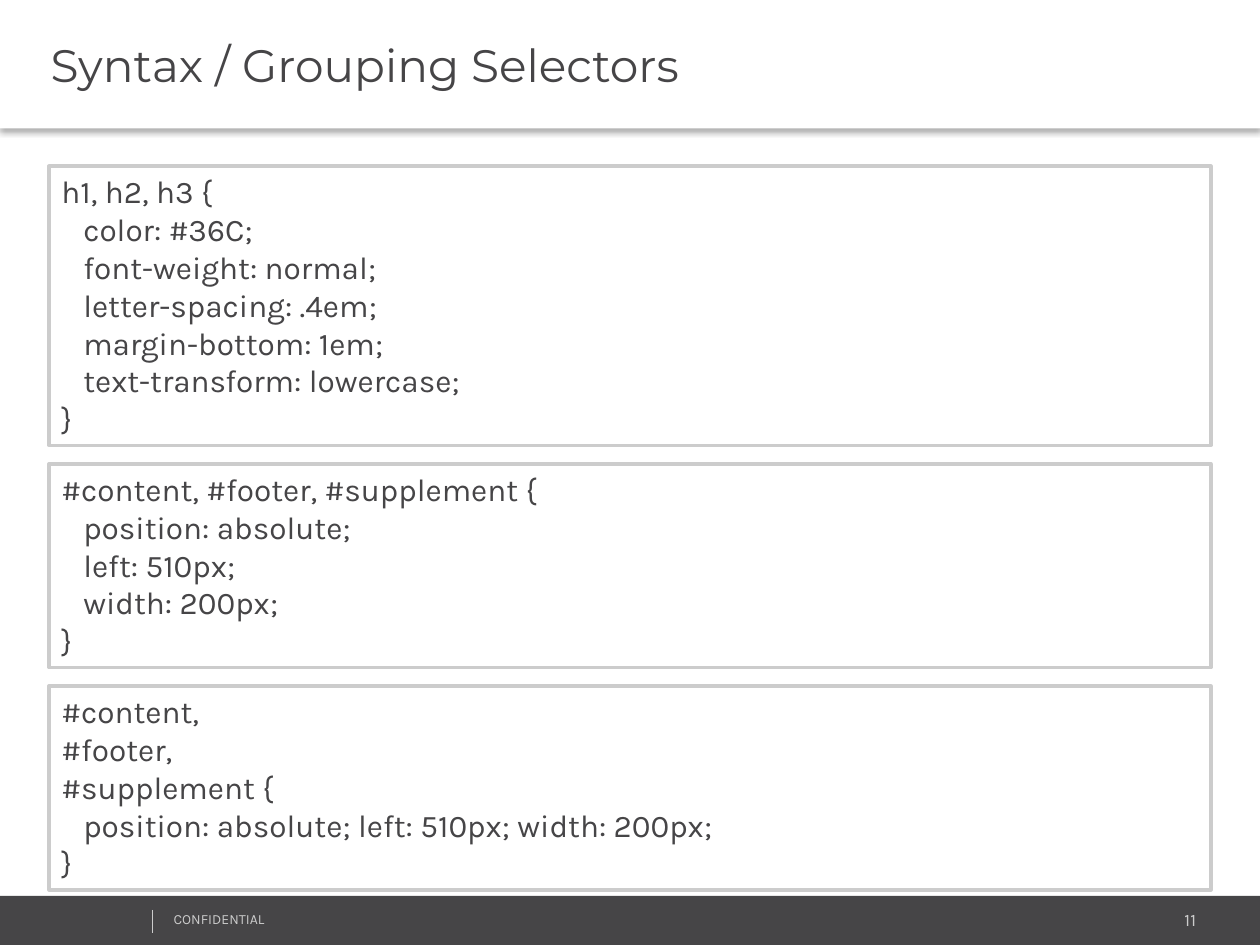
from lxml import etree
from pptx import Presentation
from pptx.dml.color import RGBColor
from pptx.enum.shapes import MSO_CONNECTOR, MSO_SHAPE
from pptx.enum.text import MSO_ANCHOR, MSO_AUTO_SIZE, PP_ALIGN
from pptx.oxml import parse_xml
from pptx.oxml.ns import nsdecls, qn
from pptx.util import Cm, Pt

DARK = RGBColor(0x46, 0x45, 0x47)
GREY = RGBColor(0xCC, 0xCC, 0xCC)
WHITE = RGBColor(0xFF, 0xFF, 0xFF)

BOX_LEFT, BOX_WIDTH, BOX_TOP, BOX_GAP = 0.99, 23.42, 3.35, 0.37
LINE_HEIGHT, BOX_PADDING = 0.76, 0.31
CODE_INDENT = Cm(0.44)

# Each line is (indent level, text).
CODE_BLOCKS = [
    [
        (0, "h1, h2, h3 {"),
        (1, "color: #36C;"),
        (1, "font-weight: normal;"),
        (1, "letter-spacing: .4em;"),
        (1, "margin-bottom: 1em;"),
        (1, "text-transform: lowercase;"),
        (0, "}"),
    ],
    [
        (0, "#content, #footer, #supplement {"),
        (1, "position: absolute;"),
        (1, "left: 510px;"),
        (1, "width: 200px;"),
        (0, "}"),
    ],
    [
        (0, "#content,"),
        (0, "#footer,"),
        (0, "#supplement {"),
        (1, "position: absolute; left: 510px; width: 200px;"),
        (0, "}"),
    ],
]


def write(p, text, size, color, font="Karla", align=PP_ALIGN.LEFT):
    """Add one formatted run to a paragraph."""
    p.alignment = align
    r = p.add_run()
    r.text = text
    for name, value in {"name": font, "size": Pt(size), "bold": False}.items():
        setattr(r.font, name, value)
    r.font.color.rgb = color


def add_box(top, height, left=0, width=25.4, fill=WHITE):
    """Add a borderless rectangle; lengths are in centimetres."""
    sp = s.shapes.add_shape(MSO_SHAPE.RECTANGLE, Cm(left), Cm(top), Cm(width), Cm(height))
    sp.shadow.inherit = False
    sp.fill.solid()
    sp.fill.fore_color.rgb = fill
    sp.line.fill.background()
    return sp


prs = Presentation()
prs.slide_width, prs.slide_height = Cm(25.4), Cm(19.05)
s = prs.slides.add_slide(prs.slide_layouts[5])

# Title band with a soft shadow below it
title = s.shapes.title
title.left, title.top, title.width, title.height = Cm(0), Cm(0), Cm(25.4), Cm(2.59)
title.fill.solid()
title.fill.fore_color.rgb = WHITE
tf = title.text_frame
title_format = {
    "margin_left": Cm(1.02),
    "vertical_anchor": MSO_ANCHOR.MIDDLE,
    "auto_size": MSO_AUTO_SIZE.NONE,
    "word_wrap": True,
}
for name, value in title_format.items():
    setattr(tf, name, value)
write(tf.paragraphs[0], "Syntax / Grouping Selectors", 26, DARK, "Montserrat")
title.element.spPr.append(parse_xml(
    f'<a:effectLst {nsdecls("a")}>'
    f'<a:outerShdw blurRad="{Pt(3.1)}" dist="{Pt(2)}" dir="5400000" algn="t" rotWithShape="0">'
    '<a:srgbClr val="000000"><a:alpha val="30000"/></a:srgbClr>'
    '</a:outerShdw></a:effectLst>'
))

# Footer
add_box(18.06, 0.99, fill=DARK)
divider = s.shapes.add_connector(MSO_CONNECTOR.STRAIGHT, Cm(3.07), Cm(18.34), Cm(3.07), Cm(18.8))
divider.line.color.rgb = GREY
divider.line.width = Pt(0.75)
etree.SubElement(divider.element.spPr, qn("a:effectLst"))

footer_texts = [
    ("CONFIDENTIAL", 8, PP_ALIGN.LEFT, (3.25, 18.24, 6.43, 0.61)),
    ("11", 10, PP_ALIGN.RIGHT, (20.22, 18.21, 4.14, 0.69)),
]
for text, size, align, place in footer_texts:
    tf = s.shapes.add_textbox(*map(Cm, place)).text_frame
    tf.word_wrap = True
    write(tf.paragraphs[0], text, size, GREY, align=align)

# Stacked code boxes, each as tall as its lines need
top = BOX_TOP
for block in CODE_BLOCKS:
    height = BOX_PADDING + LINE_HEIGHT * len(block)
    sp = add_box(top, height, BOX_LEFT, BOX_WIDTH)
    sp.line.color.rgb = GREY
    sp.line.width = Pt(2)
    tf = sp.text_frame
    tf.word_wrap = True
    tf.vertical_anchor = MSO_ANCHOR.TOP
    for i, (level, text) in enumerate(block):
        p = tf.add_paragraph() if i else tf.paragraphs[0]
        write(p, text, 18, DARK)
        p._p.get_or_add_pPr().set("marL", str(level * CODE_INDENT))
    top += height + BOX_GAP

prs.save("out.pptx")
